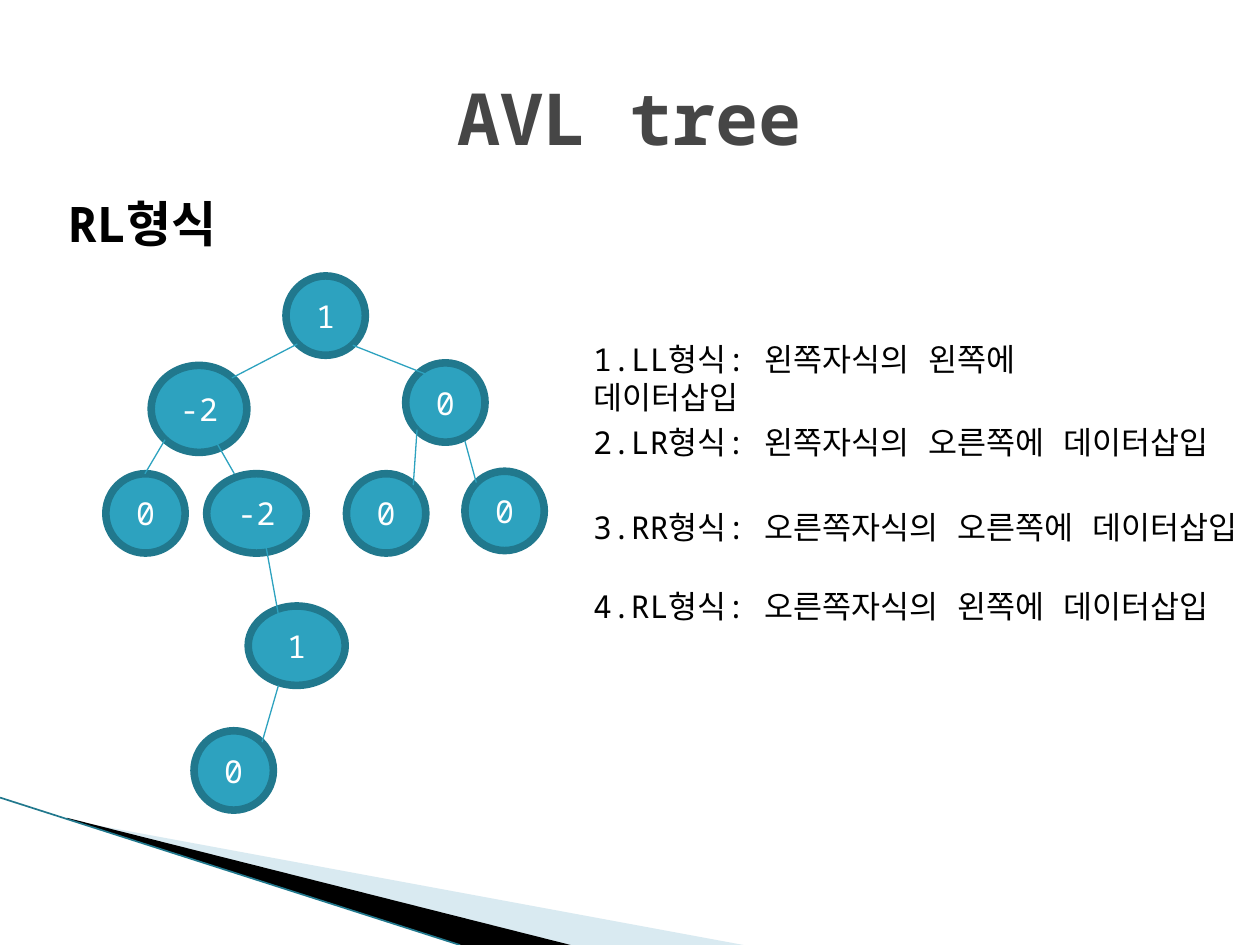
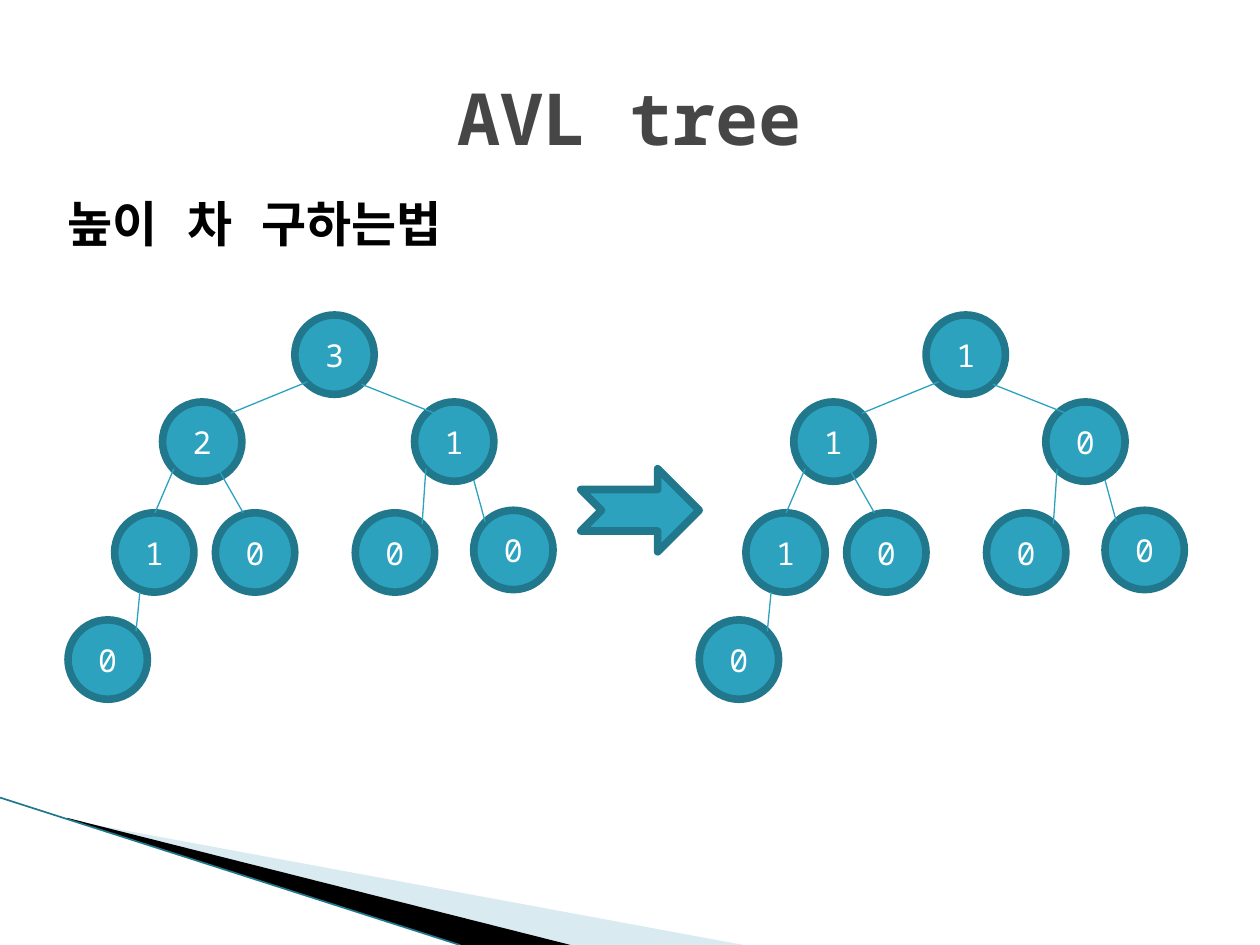
from dataclasses import dataclass
from typing import NamedTuple

from lxml.etree import SubElement
from pptx import Presentation
from pptx.dml.color import RGBColor
from pptx.enum.shapes import MSO_CONNECTOR as Connector, MSO_SHAPE as Preset
from pptx.enum.text import MSO_ANCHOR as Anchor, PP_ALIGN as Align
from pptx.oxml.ns import qn
from pptx.util import Emu, Pt

EMU_PER_PX = 9144


@dataclass(frozen=True)
class Theme:
    font: str = "Noto Sans Mono"
    title: str = "464646"
    text: str = "000000"
    node: str = "2DA2BF"
    outline: str = "21788D"
    on_node: str = "FFFFFF"
    pale_band: str = "A0CBDC"
    dark_band: str = "000000"
    pale_alpha: int = 40
    title_size: int = 41
    heading_size: int = 28
    body_size: int = 18
    outline_width: float = 4.33
    edge_width: float = 0.75
    band_width: float = 0.95


THEME = Theme()


class Spot(NamedTuple):
    left: int
    top: int
    width: int = 63
    height: int = 63


class Edge(NamedTuple):
    x1: int
    y1: int
    x2: int
    y2: int


class Band(NamedTuple):
    corners: list[tuple[int, int]]
    color: str
    alpha: int


class Rule(NamedTuple):
    text: str
    top: int
    width: int


BANDS = [
    Band([(55, 651), (590, 750), (452, 750), (55, 650)], THEME.pale_band, THEME.pale_alpha),
    Band([(53, 649), (453, 750), (366, 750), (54, 650)], THEME.dark_band, 100),
]
BAND_EDGE = Edge(0, 633, 365, 750)

ROOT, RIGHT = Spot(234, 250), Spot(329, 319)
OUTER_LEFT = Spot(91, 407)
RIGHT_LEAVES = [Spot(282, 407), Spot(376, 405)]
SHARED_EDGES = [
    Edge(345, 328, 287, 305),
    Edge(173, 372, 193, 407),
    Edge(338, 372, 335, 416),
    Edge(385, 414, 376, 381),
]

HEIGHT_SPOTS = [ROOT, Spot(129, 319), OUTER_LEFT, RIGHT, Spot(171, 407), *RIGHT_LEAVES, Spot(54, 492)]
HEIGHT_EDGES = [
    *SHARED_EDGES,
    Edge(244, 303, 183, 328),
    Edge(138, 372, 123, 407),
    Edge(111, 470, 108, 501),
]

RL_SHIFT = (-7, -31)
RL_SPOTS = [
    ROOT, Spot(127, 321, 76, 69), OUTER_LEFT, RIGHT, Spot(171, 407, 79), *RIGHT_LEAVES,
    Spot(204, 512, 77), Spot(161, 611),
]
RL_EDGES = [
    *SHARED_EDGES,
    Edge(243, 304, 191, 331),
    Edge(138, 380, 122, 407),
    Edge(218, 464, 228, 519),
    Edge(228, 575, 215, 620),
]

RULES = [
    Rule("1.LL형식: 왼쪽자식의 왼쪽에 데이터삽입", 265, 482),
    Rule("2.LR형식: 왼쪽자식의 오른쪽에 데이터삽입", 331, 510),
    Rule("3.RR형식: 오른쪽자식의 오른쪽에 데이터삽입", 398, 538),
    Rule("4.RL형식: 오른쪽자식의 왼쪽에 데이터삽입", 461, 510),
]


def px(length: int) -> Emu:
    return Emu(length * EMU_PER_PX)


def rgb(color: str) -> RGBColor:
    return RGBColor.from_string(color)


def write(paragraph, text: str, size: int, color: str, bold: bool = False) -> None:
    run = paragraph.add_run()
    run.text = text
    run.font.name = THEME.font
    run.font.size = Pt(size)
    run.font.bold = bold
    run.font.color.rgb = rgb(color)
    SubElement(run.font._element, qn("a:ea")).set("typeface", THEME.font)


def add_label(slide, text: str, spot: Spot, size: int, bold: bool = False) -> None:
    label = slide.shapes.add_textbox(*map(px, spot))
    label.text_frame.word_wrap = True
    write(label.text_frame.paragraphs[0], text, size, THEME.text, bold)


def add_solid(slide, preset: Preset, spot: Spot):
    solid = slide.shapes.add_shape(preset, *map(px, spot))
    solid.shadow.inherit = False
    solid.fill.solid()
    solid.fill.fore_color.rgb = rgb(THEME.node)
    solid.line.color.rgb = rgb(THEME.outline)
    solid.line.width = Pt(THEME.outline_width)
    SubElement(solid._element.spPr.find(qn("a:ln")), qn("a:round"))
    return solid


def add_node(slide, label: str, spot: Spot) -> None:
    frame = add_solid(slide, Preset.OVAL, spot).text_frame
    frame.margin_left = frame.margin_right = frame.margin_top = frame.margin_bottom = 0
    frame.vertical_anchor = Anchor.MIDDLE
    frame.paragraphs[0].alignment = Align.CENTER
    write(frame.paragraphs[0], label, THEME.body_size, THEME.on_node)


def add_edge(slide, edge: Edge, color: str, width: float) -> None:
    line = slide.shapes.add_connector(Connector.STRAIGHT, *map(px, edge))
    line.line.color.rgb = rgb(color)
    line.line.width = Pt(width)
    SubElement(line._element.spPr, qn("a:effectLst"))


def add_tree(slide, labels: list[str], spots: list[Spot], edges: list[Edge], shift: tuple[int, int]) -> None:
    dx, dy = shift
    for label, spot in zip(labels, spots):
        add_node(slide, label, spot._replace(left=spot.left + dx, top=spot.top + dy))
    for x1, y1, x2, y2 in edges:
        add_edge(slide, Edge(x1 + dx, y1 + dy, x2 + dx, y2 + dy), THEME.node, THEME.edge_width)


def add_band(slide, band: Band) -> None:
    builder = slide.shapes.build_freeform(*band.corners[0], scale=EMU_PER_PX)
    builder.add_line_segments(band.corners[1:], close=True)
    wedge = builder.convert_to_shape()
    wedge.shadow.inherit = False
    wedge.fill.solid()
    wedge.fill.fore_color.rgb = rgb(band.color)
    wedge.line.fill.background()
    if band.alpha < 100:
        color = wedge._element.spPr.find(qn("a:solidFill")).find(qn("a:srgbClr"))
        SubElement(color, qn("a:alpha")).set("val", str(band.alpha * 1000))


def add_page(deck, heading: str, heading_width: int):
    slide = deck.slides.add_slide(deck.slide_layouts[5])
    for band in BANDS:
        add_band(slide, band)
    add_edge(slide, BAND_EDGE, THEME.outline, THEME.band_width)
    title = slide.shapes.title
    title.left, title.top, title.width, title.height = map(px, (50, 30, 900, 125))
    title.text_frame.vertical_anchor = Anchor.MIDDLE
    title.text_frame.paragraphs[0].alignment = Align.CENTER
    write(title.text_frame.paragraphs[0], "AVL tree", THEME.title_size, THEME.title, True)
    add_label(slide, heading, Spot(44, 149, heading_width, 57), THEME.heading_size, True)
    return slide


def build_rl_case(deck) -> None:
    slide = add_page(deck, "RL형식", 145)
    for rule in RULES:
        add_label(slide, rule.text, Spot(461, rule.top, rule.width, 40), THEME.body_size)
    add_tree(slide, ["1", "-2", "0", "0", "-2", "0", "0", "1", "0"], RL_SPOTS, RL_EDGES, RL_SHIFT)


def build_height_difference(deck) -> None:
    slide = add_page(deck, "높이 차 구하는법", 320)
    add_tree(slide, list("32110000"), HEIGHT_SPOTS, HEIGHT_EDGES, (0, 0))
    add_tree(slide, list("11100000"), HEIGHT_SPOTS, HEIGHT_EDGES, (501, 0))
    add_solid(slide, Preset.NOTCHED_RIGHT_ARROW, Spot(461, 372, 94, 66))


def main() -> None:
    deck = Presentation()
    deck.slide_width, deck.slide_height = px(1000), px(750)
    build_rl_case(deck)
    build_height_difference(deck)
    deck.save("out.pptx")


if __name__ == "__main__":
    main()
